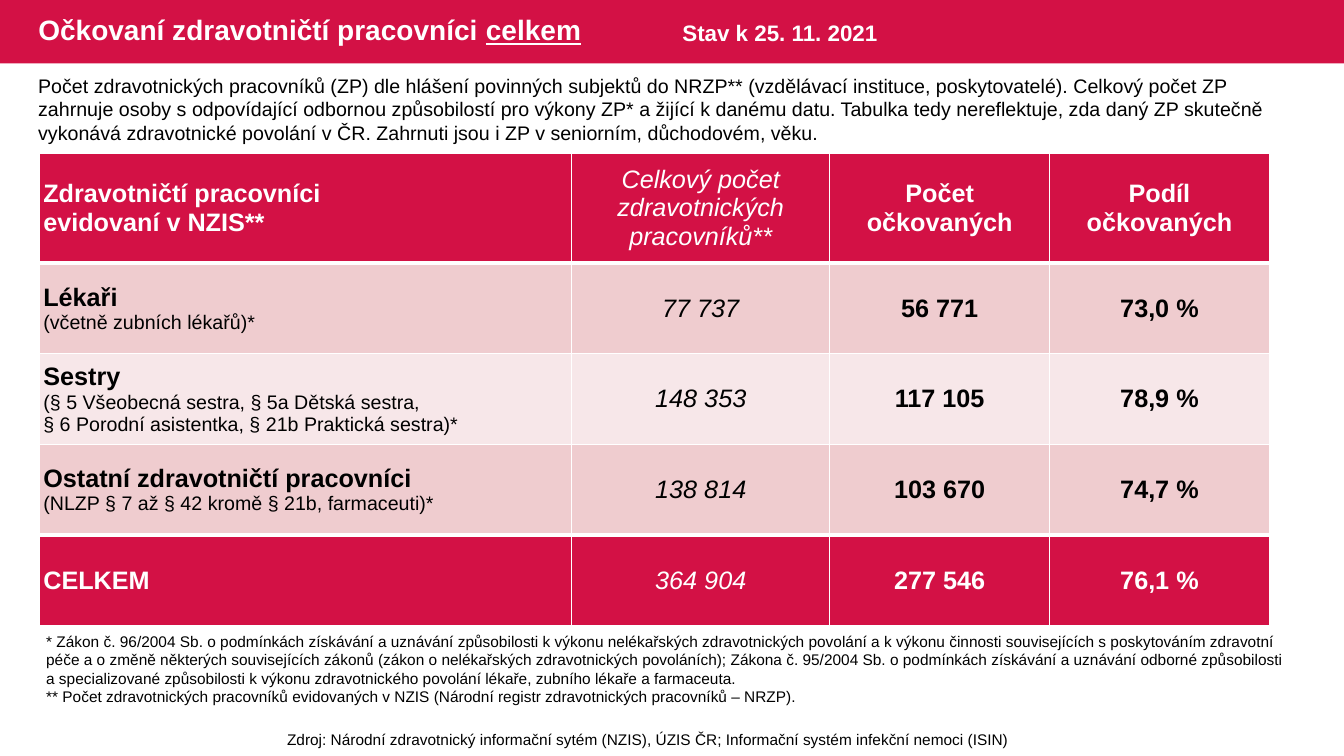
import pptx
import pptx.dml.color
import pptx.enum.shapes
import pptx.enum.text
import pptx.oxml
import pptx.oxml.ns
import pptx.util

CRIMSON = pptx.dml.color.RGBColor(0xD3, 0x11, 0x45)
ROSE = pptx.dml.color.RGBColor(0xEF, 0xCC, 0xCF)
BLUSH = pptx.dml.color.RGBColor(0xF7, 0xE7, 0xE9)
WHITE = pptx.dml.color.RGBColor(0xFF, 0xFF, 0xFF)
BLACK = pptx.dml.color.RGBColor(0x00, 0x00, 0x00)

PX_PER_INCH = 100
LEFT = pptx.enum.text.PP_ALIGN.LEFT
CENTER = pptx.enum.text.PP_ALIGN.CENTER
MIDDLE = pptx.enum.text.MSO_ANCHOR.MIDDLE

BOLD = {"size": 18, "bold": True}
ITALIC = {"size": 18, "bold": False, "italic": True}
DETAIL = {"size": 14, "bold": False}

HEADERS = [
    "Zdravotničtí pracovníci\nevidovaní v NZIS**",
    "Celkový počet zdravotnických pracovníků**",
    "Počet očkovaných",
    "Podíl očkovaných",
]
ROWS = [
    ("Lékaři\n(včetně zubních lékařů)*", "77 737", "56 771", "73,0 %"),
    ("Sestry\n(§ 5 Všeobecná sestra, § 5a Dětská sestra,\n"
     "§ 6 Porodní asistentka, § 21b Praktická sestra)*", "148 353", "117 105", "78,9 %"),
    ("Ostatní zdravotničtí pracovníci\n(NLZP § 7 až § 42 kromě § 21b, farmaceuti)*",
     "138 814", "103 670", "74,7 %"),
    ("CELKEM", "364 904", "277 546", "76,1 %"),
]
INTRO = (
    "Počet zdravotnických pracovníků (ZP) dle hlášení povinných subjektů do NRZP** "
    "(vzdělávací instituce, poskytovatelé). Celkový počet ZP zahrnuje osoby s odpovídající "
    "odbornou způsobilostí pro výkony ZP* a žijící k danému datu. Tabulka tedy nereflektuje, "
    "zda daný ZP skutečně vykonává zdravotnické povolání v ČR. Zahrnuti jsou i ZP v seniorním, "
    "důchodovém, věku."
)
FOOTNOTES = [
    "* Zákon č. 96/2004 Sb. o podmínkách získávání a uznávání způsobilosti k výkonu "
    "nelékařských zdravotnických povolání a k výkonu činnosti souvisejících s poskytováním "
    "zdravotní péče a o změně některých souvisejících zákonů (zákon o nelékařských "
    "zdravotnických povoláních); Zákona č. 95/2004 Sb. o podmínkách získávání a uznávání "
    "odborné způsobilosti a specializované způsobilosti k výkonu zdravotnického povolání "
    "lékaře, zubního lékaře a farmaceuta.",
    "** Počet zdravotnických pracovníků evidovaných v NZIS (Národní registr zdravotnických "
    "pracovníků – NRZP).",
]
SOURCE = (
    "Zdroj: Národní zdravotnický informační sytém (NZIS), ÚZIS ČR; "
    "Informační systém infekční nemoci (ISIN)"
)


def px(length):
    return pptx.util.Emu(length * pptx.util.Inches(1) // PX_PER_INCH)


class SlideBuilder:
    font_name = "Arial"

    def __init__(self, presentation):
        self.slide = presentation.slides.add_slide(presentation.slide_layouts[5])

    def fill_text(self, frame, paragraphs, color, align=LEFT):
        for index, runs in enumerate(paragraphs):
            paragraph = frame.paragraphs[0] if index == 0 else frame.add_paragraph()
            paragraph.alignment = align
            for text, style in runs:
                run = paragraph.add_run()
                run.text = text
                values = {"name": self.font_name, **style, "size": pptx.util.Pt(style["size"])}
                for name, value in values.items():
                    setattr(run.font, name, value)
                run.font.color.rgb = color

    def place(self, shape, box):
        for name, value in zip(("left", "top", "width", "height"), box):
            setattr(shape, name, px(value))

    def title(self, box, runs):
        title = self.slide.shapes.title
        self.place(title, box)
        frame = title.text_frame
        frame.auto_size = pptx.enum.text.MSO_AUTO_SIZE.NONE
        frame.vertical_anchor = MIDDLE
        self.fill_text(frame, [runs], WHITE)
        frame.paragraphs[0].line_spacing = 0.9

    def banner(self, box):
        banner = self.slide.shapes.add_shape(
            pptx.enum.shapes.MSO_SHAPE.RECTANGLE, *map(px, box))
        banner.shadow.inherit = False
        banner.fill.solid()
        banner.fill.fore_color.rgb = CRIMSON
        banner.line.fill.background()
        self.slide.shapes.title.element.addprevious(banner.element)

    def text(self, box, lines, style, color=BLACK, align=LEFT):
        frame = self.slide.shapes.add_textbox(*map(px, box)).text_frame
        frame.word_wrap = True
        self.fill_text(frame, [[(line, style)] for line in lines], color, align)

    def border(self, cell, top, bottom):
        properties = cell._tc.get_or_add_tcPr()
        for side, points in (("L", 1), ("R", 1), ("T", top), ("B", bottom)):
            properties.append(pptx.oxml.parse_xml(
                f'<a:ln{side} {pptx.oxml.ns.nsdecls("a")} w="{pptx.util.Pt(points)}">'
                f'<a:solidFill><a:srgbClr val="{WHITE}"/></a:solidFill></a:ln{side}>'))

    def cell(self, cell, paragraphs, fill, color, align, borders, margin):
        self.border(cell, *borders)
        cell.fill.solid()
        cell.fill.fore_color.rgb = fill
        margins = {"margin_left": margin, "margin_right": margin,
                   "margin_top": 0, "margin_bottom": 0}
        for name, value in margins.items():
            setattr(cell, name, px(value))
        cell.vertical_anchor = MIDDLE
        self.fill_text(cell.text_frame, paragraphs, color, align)

    def table(self, box, widths, heights, rows):
        table = self.slide.shapes.add_table(len(rows), len(widths), *map(px, box)).table
        for column, width in zip(table.columns, widths):
            column.width = px(width)
        for row, height in zip(table.rows, heights):
            row.height = px(height)
        last = len(rows) - 1
        for r, values in enumerate(rows):
            strong = r in (0, last)
            fill = CRIMSON if strong else (ROSE if r % 2 else BLUSH)
            borders = (3 if r in (1, last) else 1, 3 if r in (0, last - 1) else 1)
            for c, value in enumerate(values):
                lead = ITALIC if c == 1 else BOLD
                paragraphs = [[(line, lead if r == 0 or index == 0 else DETAIL)]
                              for index, line in enumerate(value.split("\n"))]
                self.cell(table.cell(r, c), paragraphs, fill, WHITE if strong else BLACK,
                          CENTER if c else LEFT, borders, 4 if r == 0 or c == 0 else 1)


def main():
    presentation = pptx.Presentation()
    presentation.slide_width = px(1333)
    presentation.slide_height = px(750)
    builder = SlideBuilder(presentation)
    heading = {"size": 20, "bold": True}
    builder.banner((0, 0, 1333, 63))
    builder.title((28, 0, 813, 63), [
        ("Očkovaní zdravotničtí pracovníci ", heading),
        ("celkem", {**heading, "underline": True}),
    ])
    builder.table((39, 152, 1220, 469), (528, 256, 218, 218), (109, 90, 90, 90, 90),
                  [HEADERS, *ROWS])
    builder.text((667, 14, 220, 37), ["Stav k 25. 11. 2021"], {"size": 16, "bold": True}, WHITE)
    builder.text((36, 622, 1253, 84), FOOTNOTES, {"size": 11})
    builder.text((28, 68, 1279, 81), [INTRO], {"size": 14})
    builder.text((190, 719, 906, 29), [SOURCE], {"size": 11}, align=CENTER)
    presentation.save("out.pptx")


if __name__ == "__main__":
    main()
